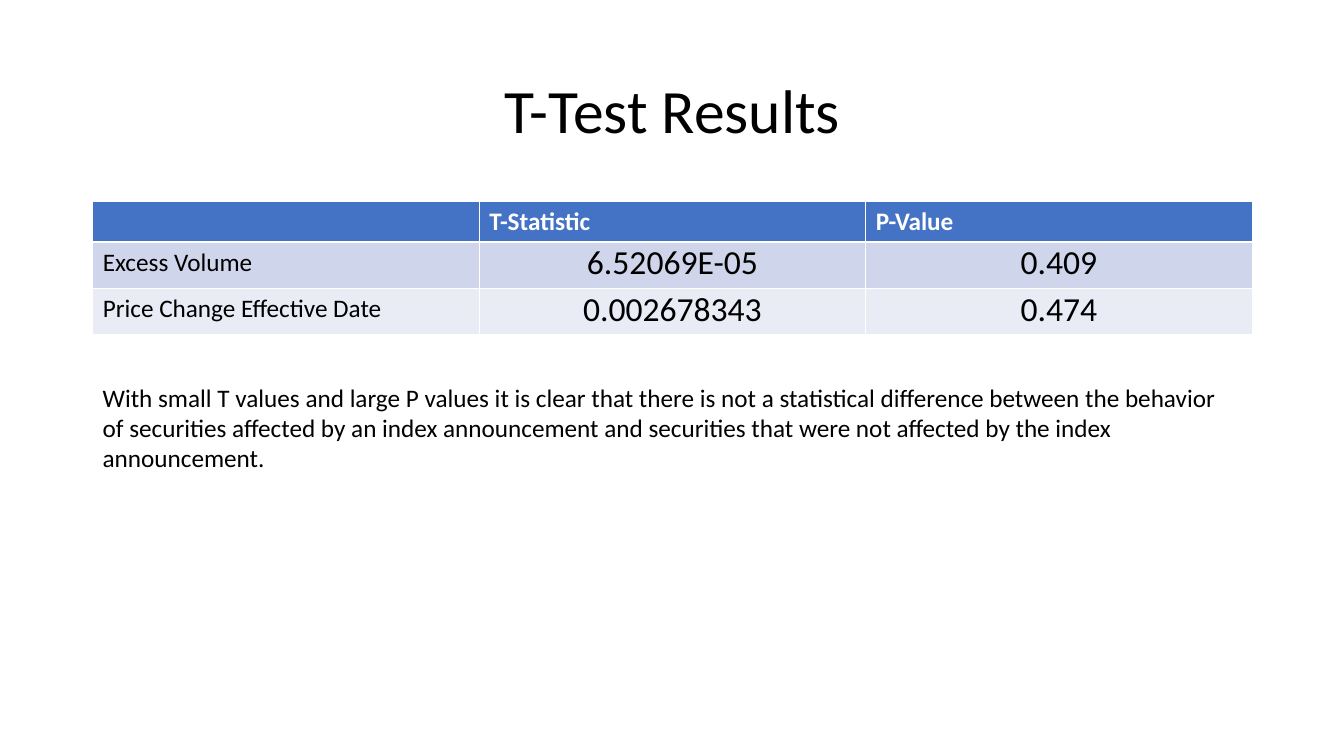
"""Build the T-Test Results slide with its table and conclusion."""
from pptx import Presentation
from pptx.dml.color import RGBColor
from pptx.enum.text import MSO_ANCHOR, PP_ALIGN
from pptx.util import Inches, Pt

BLACK = RGBColor(0x00, 0x00, 0x00)
WHITE = RGBColor(0xFF, 0xFF, 0xFF)
HEADER_BLUE = RGBColor(0x44, 0x72, 0xC4)
BAND_FILLS = [RGBColor(0xE9, 0xEB, 0xF5), RGBColor(0xCF, 0xD5, 0xEA)]
LEFT, WIDTH = Inches(0.92), Inches(11.5)

RESULTS = [
    ["", "T-Statistic", "P-Value"],
    ["Excess Volume", "6.52069E-05", "0.409"],
    ["Price Change Effective Date", "0.002678343", "0.474"],
]
CONCLUSION = (
    "With small T values and large P values it is clear that there is not a "
    "statistical difference between the behavior of securities affected by an "
    "index announcement and securities that were not affected by the index "
    "announcement."
)


def write(frame, text, size, color=BLACK, bold=False, align=PP_ALIGN.LEFT):
    frame.text = text
    frame.word_wrap = True
    paragraph = frame.paragraphs[0]
    paragraph.alignment = align
    for run in paragraph.runs:
        run.font.name = "Calibri"
        run.font.size = Pt(size)
        run.font.bold = bold
        run.font.color.rgb = color
    return paragraph


presentation = Presentation()
presentation.slide_width = Inches(13.33)
presentation.slide_height = Inches(7.5)
slide = presentation.slides.add_slide(presentation.slide_layouts[6])

title = slide.shapes.add_textbox(LEFT, Inches(0.4), WIDTH, Inches(1.45)).text_frame
title.vertical_anchor = MSO_ANCHOR.MIDDLE
write(title, "T-Test Results", 44, align=PP_ALIGN.CENTER).line_spacing = 0.9

results = slide.shapes.add_table(
    len(RESULTS), len(RESULTS[0]), LEFT, Inches(2), WIDTH, Inches(1.32)
).table
for row, values in enumerate(RESULTS):
    results.rows[row].height = Inches(0.46 if row else 0.4)
    for column, value in enumerate(values):
        cell = results.cell(row, column)
        cell.fill.solid()
        cell.fill.fore_color.rgb = BAND_FILLS[row % 2] if row else HEADER_BLUE
        if row == 0:
            write(cell.text_frame, value, 18, WHITE, bold=True)
        elif column == 0:
            write(cell.text_frame, value, 18)
        else:
            write(cell.text_frame, value, 24, align=PP_ALIGN.CENTER)
            cell.vertical_anchor = MSO_ANCHOR.BOTTOM
            cell.margin_left = cell.margin_right = cell.margin_top = Inches(0.01)

conclusion = slide.shapes.add_textbox(LEFT, Inches(3.74), WIDTH, Inches(1.31))
write(conclusion.text_frame, CONCLUSION, 18)

presentation.save("out.pptx")
